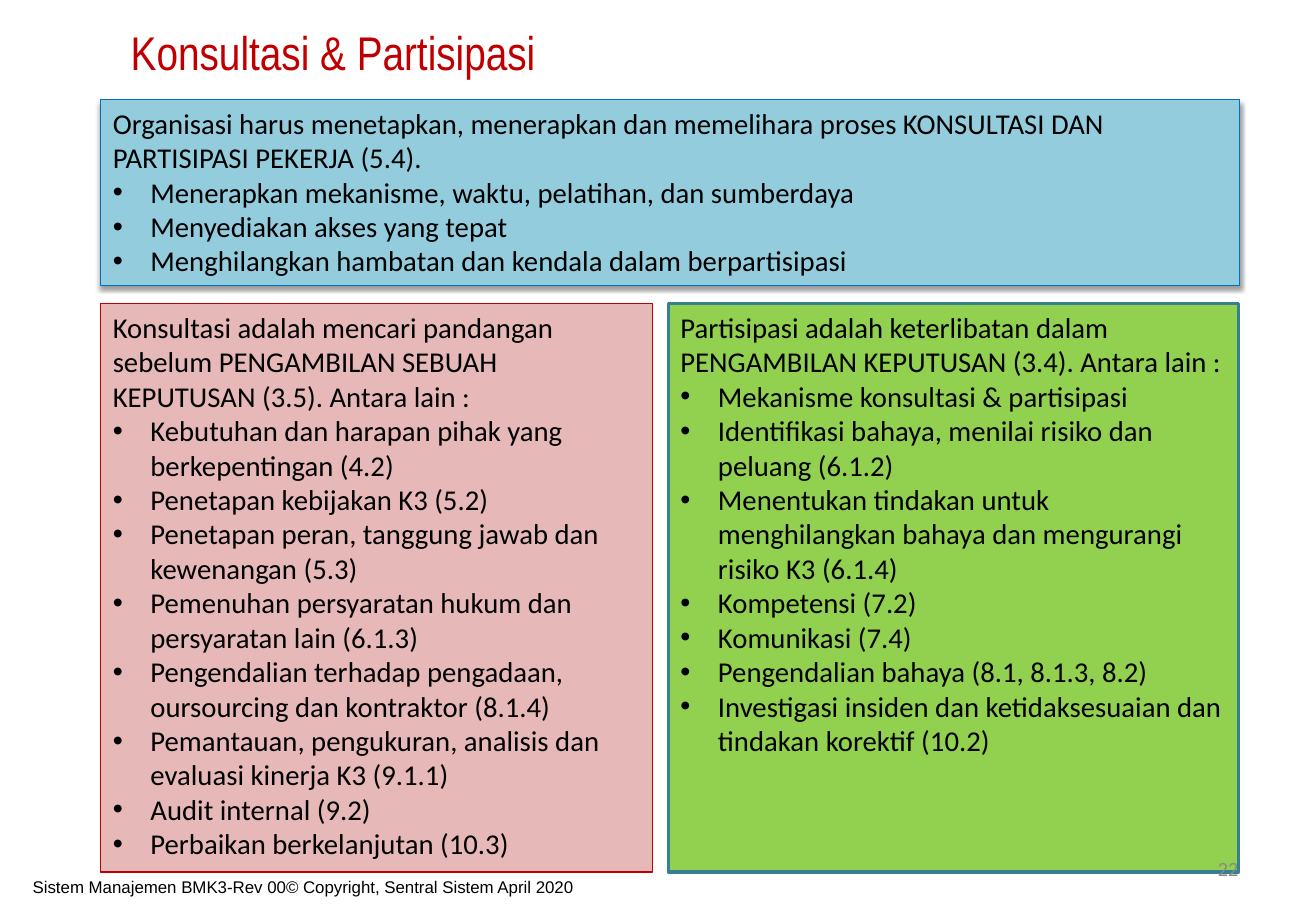
import pptx
import pptx.util
import pptx.dml.color
import pptx.enum.shapes
import pptx.enum.text
import pptx.oxml
import pptx.oxml.ns

Inches = pptx.util.Inches
Pt = pptx.util.Pt
RGBColor = pptx.dml.color.RGBColor
ALIGN = pptx.enum.text.PP_ALIGN
ANCHOR = pptx.enum.text.MSO_ANCHOR

BLACK = RGBColor(0x00, 0x00, 0x00)
GREY = RGBColor(0x89, 0x89, 0x89)
RED = RGBColor(0xC0, 0x00, 0x00)
PINK = RGBColor(0xE6, 0xB9, 0xB8)
GREEN = RGBColor(0x92, 0xD0, 0x50)
TEAL = RGBColor(0x37, 0x7F, 0x92)
LIGHT_BLUE = RGBColor(0x93, 0xCD, 0xDD)
BLUE = RGBColor(0x00, 0x70, 0xC0)

LEFT = 0.83
PANEL_TOP = 2.5
PANEL_HEIGHT = 4.68

CONSULTATION = [
    "Konsultasi adalah mencari pandangan sebelum PENGAMBILAN SEBUAH KEPUTUSAN (3.5). Antara lain :",
    "Kebutuhan dan harapan pihak yang berkepentingan (4.2)",
    "Penetapan kebijakan K3 (5.2)",
    "Penetapan peran, tanggung jawab dan kewenangan (5.3)",
    "Pemenuhan persyaratan hukum dan persyaratan lain (6.1.3)",
    "Pengendalian terhadap pengadaan, oursourcing dan kontraktor (8.1.4)",
    "Pemantauan, pengukuran, analisis dan evaluasi kinerja K3 (9.1.1)",
    "Audit internal (9.2)",
    "Perbaikan berkelanjutan (10.3)",
]
PARTICIPATION = [
    "Partisipasi adalah keterlibatan dalam PENGAMBILAN KEPUTUSAN (3.4). Antara lain :",
    "Mekanisme konsultasi & partisipasi",
    "Identifikasi bahaya, menilai risiko dan peluang (6.1.2)",
    "Menentukan tindakan untuk menghilangkan bahaya dan mengurangi risiko K3 (6.1.4)",
    "Kompetensi (7.2)",
    "Komunikasi (7.4)",
    "Pengendalian bahaya (8.1, 8.1.3, 8.2)",
    "Investigasi insiden dan ketidaksesuaian dan tindakan korektif (10.2)",
]
ORGANISATION = [
    "Organisasi harus menetapkan, menerapkan dan memelihara proses KONSULTASI DAN PARTISIPASI PEKERJA (5.4).",
    "Menerapkan mekanisme, waktu, pelatihan, dan sumberdaya",
    "Menyediakan akses yang tepat",
    "Menghilangkan hambatan dan kendala dalam berpartisipasi",
]


def add_span(para, text, size, font, color):
    span = para.add_run()
    span.text = text
    span.font.size = Pt(size)
    span.font.name = font
    span.font.color.rgb = color


def set_bullet(para):
    properties = para._p.get_or_add_pPr()
    properties.set("marL", str(Inches(0.31)))
    properties.set("indent", str(Inches(-0.31)))
    namespace = pptx.oxml.ns.nsdecls("a")
    for xml in (f'<a:buFont {namespace} typeface="Arial"/>',
                f'<a:buChar {namespace} char="•"/>'):
        properties.append(pptx.oxml.parse_xml(xml))


def add_shadow(box):
    effects = box._element.spPr.find(pptx.oxml.ns.qn("a:effectLst"))
    effects.append(pptx.oxml.parse_xml(
        f'<a:outerShdw {pptx.oxml.ns.nsdecls("a")} blurRad="{Pt(3.1)}" dist="{Pt(1.6)}" '
        'dir="5400000" rotWithShape="0"><a:srgbClr val="000000">'
        '<a:alpha val="38000"/></a:srgbClr></a:outerShdw>'))


def add_panel(page, left, top, width, height, fill, edge, edge_width, lines):
    """Filled box: an opening sentence followed by bullets."""
    box = page.shapes.add_shape(
        pptx.enum.shapes.MSO_SHAPE.RECTANGLE,
        Inches(left), Inches(top), Inches(width), Inches(height))
    box.fill.solid()
    box.fill.fore_color.rgb = fill
    box.line.color.rgb = edge
    box.line.width = Pt(edge_width)
    box.shadow.inherit = False
    frame = box.text_frame
    frame.word_wrap = True
    frame.vertical_anchor = ANCHOR.TOP
    for index, text in enumerate(lines):
        para = frame.add_paragraph() if index else frame.paragraphs[0]
        para.alignment = ALIGN.LEFT
        if index:
            set_bullet(para)
        add_span(para, text, 17, "Calibri", BLACK)
    return box


def add_label(page, left, top, width, height, text, size, font, color,
              align=ALIGN.LEFT, anchor=ANCHOR.TOP, wrap=True):
    box = page.shapes.add_textbox(
        Inches(left), Inches(top), Inches(width), Inches(height))
    frame = box.text_frame
    frame.word_wrap = wrap
    frame.vertical_anchor = anchor
    para = frame.paragraphs[0]
    para.alignment = align
    add_span(para, text, size, font, color)


def main():
    deck = pptx.Presentation()
    deck.slide_width = Inches(10.83)
    deck.slide_height = Inches(7.5)
    page = deck.slides.add_slide(deck.slide_layouts[6])

    # Two definitions side by side
    add_panel(page, LEFT, PANEL_TOP, 4.54, PANEL_HEIGHT, PINK, RED, 0.75, CONSULTATION)
    add_panel(page, 5.5, PANEL_TOP, 4.69, PANEL_HEIGHT, GREEN, TEAL, 2, PARTICIPATION)

    # Requirement across the top
    requirement = add_panel(page, LEFT, 0.82, 9.37, 1.53, LIGHT_BLUE, BLUE, 0.75, ORGANISATION)
    add_shadow(requirement)

    # Page number, title and footer
    add_label(page, 7.76, 6.95, 2.53, 0.4, "22", 12, "Calibri", GREY,
              align=ALIGN.RIGHT, anchor=ANCHOR.MIDDLE)
    add_label(page, 0.72, 0.14, 4.04, 0.57, "Konsultasi & Partisipasi", 28,
              "Arial Narrow", RED, align=ALIGN.CENTER, wrap=False)
    add_label(page, 0.17, 7.17, 5.25, 0.4,
              "Sistem Manajemen BMK3-Rev 00© Copyright, Sentral Sistem April 2020",
              10, "Arial", BLACK)

    deck.save("out.pptx")


if __name__ == "__main__":
    main()
